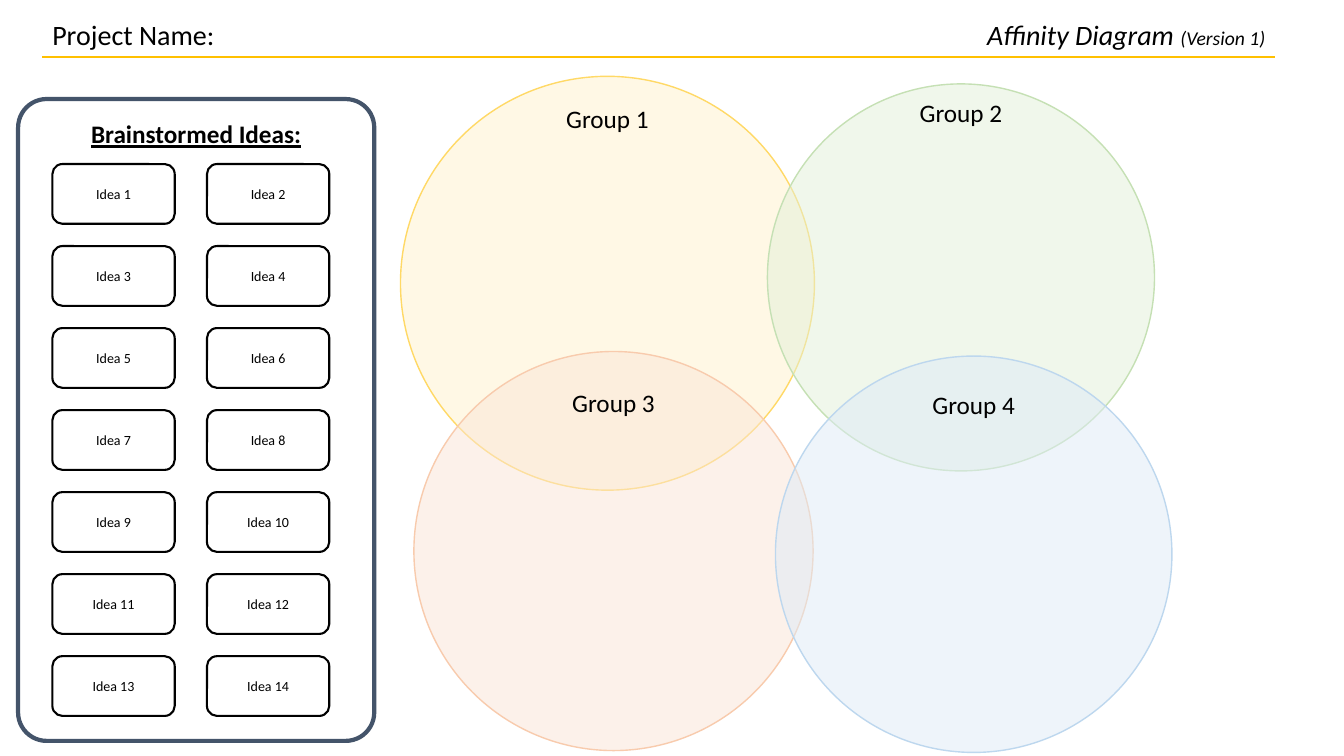
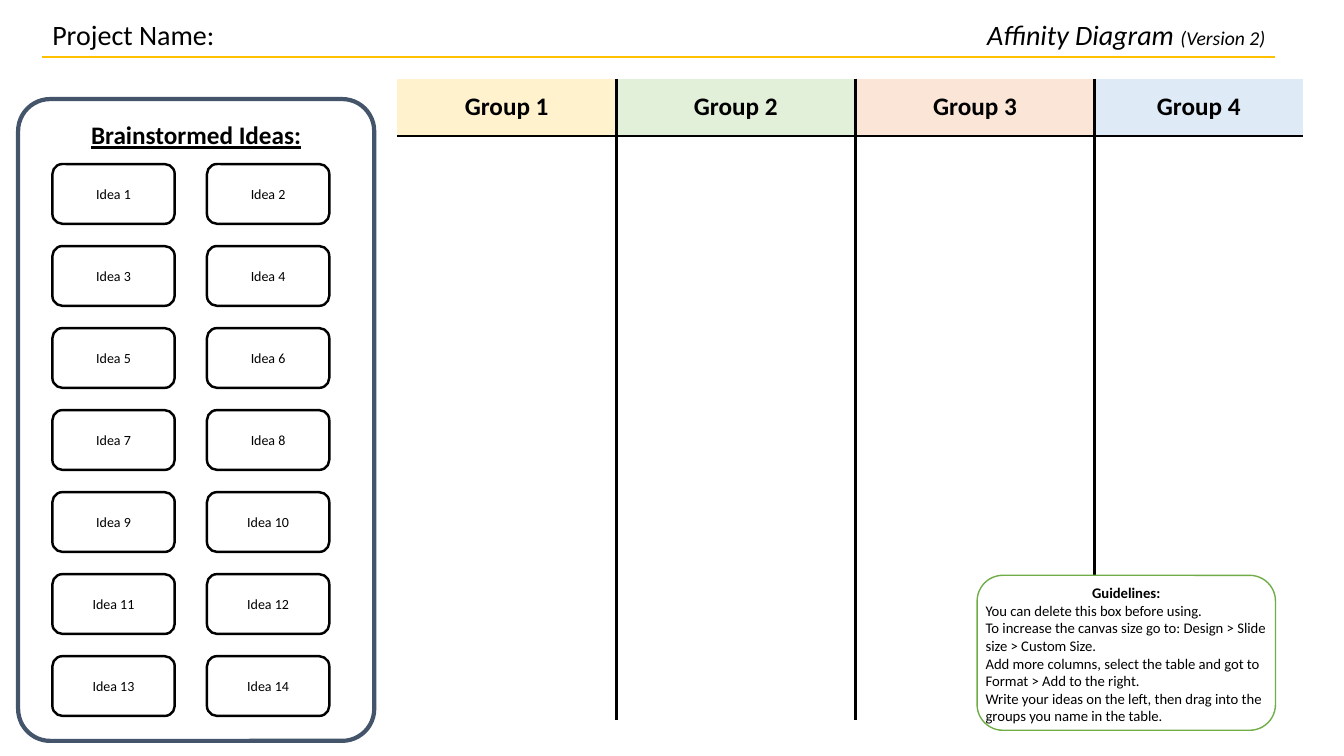
from dataclasses import dataclass

from lxml import etree
from pptx import Presentation
from pptx.dml.color import RGBColor
from pptx.enum.shapes import MSO_CONNECTOR, MSO_SHAPE
from pptx.enum.text import MSO_ANCHOR, MSO_AUTO_SIZE, PP_ALIGN
from pptx.oxml.ns import qn
from pptx.util import Inches, Pt

ROUNDED, ELLIPSE = MSO_SHAPE.ROUNDED_RECTANGLE, MSO_SHAPE.OVAL
STRAIGHT = MSO_CONNECTOR.STRAIGHT
TOP, MIDDLE = MSO_ANCHOR.TOP, MSO_ANCHOR.MIDDLE
LEFT, CENTER, RIGHT = PP_ALIGN.LEFT, PP_ALIGN.CENTER, PP_ALIGN.RIGHT
NO_AUTOFIT = MSO_AUTO_SIZE.NONE

SLIDE_WIDTH, SLIDE_HEIGHT = Inches(13.33), Inches(7.5)
TITLE_ONLY_LAYOUT = 5
PLAIN_TABLE_STYLE = "{2D5ABB26-0587-4C30-8999-92F81FD0307C}"


@dataclass(frozen=True)
class Theme:
    font: str = "Calibri"
    ink: str = "000000"
    paper: str = "FFFFFF"
    rule: str = "FFC000"
    panel: str = "44546A"
    guide: str = "70AD47"
    title_size: float = 20
    version_size: float = 14
    heading_size: float = 18
    idea_size: float = 10
    guide_size: float = 10.5


THEME = Theme()


def across(share: float) -> int:
    """Percent of the slide width."""
    return round(SLIDE_WIDTH * share / 100)


def down(share: float) -> int:
    """Percent of the slide height."""
    return round(SLIDE_HEIGHT * share / 100)


@dataclass(frozen=True)
class Area:
    """A rectangle in percent of the slide's width and height."""
    left: float
    top: float
    width: float
    height: float

    def lengths(self) -> tuple[int, int, int, int]:
        return across(self.left), down(self.top), across(self.width), down(self.height)


@dataclass(frozen=True)
class Group:
    """A group of ideas: its circle on one page, its column on the other."""
    name: str
    fill: str
    outline: str
    left: float
    top: float
    diameter: float  # percent of the slide width
    label_middle: float
    column_width: float


GROUPS = (
    Group("Group 1", "FFF2CC", "FFD966", 29.8, 10.1, 30.8, 15.7, 16.3),
    Group("Group 2", "E2F0D9", "C5E0B4", 57.1, 11.1, 28.8, 14.9, 17.8),
    Group("Group 3", "FBE5D6", "F8CBAD", 30.8, 46.5, 29.7, 53.2, 17.8),
    Group("Group 4", "DEEBF7", "BDD7EE", 57.7, 47.1, 29.5, 53.5, 15.5),
)

# Header
PROJECT = Area(3.15, 1.6, 30.4, 5.9)
TITLE = Area(64.5, 1.6, 30.4, 5.9)
RULE_HEIGHT = 7.6

# Idea panel
PANEL = Area(1.35, 13.1, 26.5, 84.9)
FIRST_IDEA = Area(3.9, 21.7, 9.1, 7.9)
IDEA_COLUMNS, IDEA_ROWS = 2, 7
IDEA_PITCH_ACROSS, IDEA_PITCH_DOWN = 11.5, 10.85

# Circles, table and guidelines
LABEL_HEIGHT = 5.4
TABLE_LEFT, TABLE_TOP = 29.55, 10.4
TABLE_ROWS = (7.6, 77.2)
TABLE_LINE = 2.25
GUIDE = Area(72.7, 76.1, 22.2, 20.5)
GUIDE_LINES = (
    "Guidelines:",
    "You can delete this box before using.",
    "To increase the canvas size go to: Design > Slide size > Custom Size.",
    "Add more columns, select the table and got to Format > Add to the right.",
    "Write your ideas on the left, then drag into the groups you name in the table.",
)


def color(value: str) -> RGBColor:
    return RGBColor.from_string(value)


def style(span, size: float, bold=False, italic=False, underline=False) -> None:
    font = span.font
    font.name, font.size = THEME.font, Pt(size)
    font.bold, font.italic, font.underline = bold, italic, underline
    font.color.rgb = color(THEME.ink)


def set_frame(frame, anchor=TOP, inset: float | None = None) -> None:
    frame.word_wrap = True
    frame.auto_size = NO_AUTOFIT
    frame.vertical_anchor = anchor
    if inset is not None:
        frame.margin_left = frame.margin_right = Inches(inset)
        frame.margin_top = frame.margin_bottom = Inches(inset)


def write(para, text: str, size: float, align=CENTER, **look: bool) -> None:
    para.text = text
    para.alignment = align
    for span in para.runs:
        style(span, size, **look)


def add_text(page, area: Area, text: str, size: float, align, anchor) -> None:
    box = page.shapes.add_textbox(*area.lengths())
    set_frame(box.text_frame, anchor)
    write(box.text_frame.paragraphs[0], text, size, align)


def add_outlined(page, kind, lengths, outline: str, width: float, fill: str | None = None):
    shape = page.shapes.add_shape(kind, *lengths)
    shape.shadow.inherit = False
    shape.line.color.rgb = color(outline)
    shape.line.width = Pt(width)
    if fill is None:
        shape.fill.background()
    else:
        shape.fill.solid()
        shape.fill.fore_color.rgb = color(fill)
    return shape


def add_header(page, version: int) -> None:
    # Title with its smaller version mark
    title = page.shapes.title
    title.left, title.top, title.width, title.height = TITLE.lengths()
    set_frame(title.text_frame, TOP)
    para = title.text_frame.paragraphs[0]
    write(para, "Affinity Diagram ", THEME.title_size, RIGHT, italic=True)
    mark = para.add_run()
    mark.text = f"(Version {version})"
    style(mark, THEME.version_size, italic=True)

    # Project name and rule
    add_text(page, PROJECT, "Project Name:", THEME.title_size, LEFT, TOP)
    height = down(RULE_HEIGHT)
    rule = page.shapes.add_connector(
        STRAIGHT, across(PROJECT.left), height, across(TITLE.left + TITLE.width), height)
    rule.line.color.rgb = color(THEME.rule)
    rule.line.width = Pt(1.5)
    etree.SubElement(rule.element.spPr, qn("a:effectLst"))


def add_idea_panel(page, corner: float, idea_line: float) -> None:
    panel = add_outlined(page, ROUNDED, PANEL.lengths(), THEME.panel, 3)
    panel.adjustments[0] = corner
    set_frame(panel.text_frame, TOP, 0.11)
    write(panel.text_frame.paragraphs[0], "Brainstormed Ideas:",
          THEME.heading_size, bold=True, underline=True)

    # Idea cards, numbered row by row
    for index in range(IDEA_COLUMNS * IDEA_ROWS):
        row, column = divmod(index, IDEA_COLUMNS)
        area = Area(FIRST_IDEA.left + column * IDEA_PITCH_ACROSS,
                    FIRST_IDEA.top + row * IDEA_PITCH_DOWN,
                    FIRST_IDEA.width, FIRST_IDEA.height)
        card = add_outlined(page, ROUNDED, area.lengths(), THEME.ink, idea_line, THEME.paper)
        set_frame(card.text_frame, MIDDLE, 0.02)
        write(card.text_frame.paragraphs[0], f"Idea {index + 1}", THEME.idea_size)


def add_circle(page, group: Group) -> None:
    diameter = across(group.diameter)
    lengths = across(group.left), down(group.top), diameter, diameter
    circle = add_outlined(page, ELLIPSE, lengths, group.outline, 1, group.fill)
    tint = circle.element.spPr.find(qn("a:solidFill"))[0]
    etree.SubElement(tint, qn("a:alpha")).set("val", "50000")
    label = Area(group.left, group.label_middle - LABEL_HEIGHT / 2,
                 group.diameter, LABEL_HEIGHT)
    add_text(page, label, group.name, THEME.heading_size, CENTER, MIDDLE)


def set_border(cell, side: str) -> None:
    properties = cell._tc.get_or_add_tcPr()
    line = etree.SubElement(properties, qn(f"a:ln{side}"), w=str(Pt(TABLE_LINE)))
    fill = etree.SubElement(line, qn("a:solidFill"))
    etree.SubElement(fill, qn("a:srgbClr"), val=THEME.ink)


def add_group_table(page) -> None:
    width = sum(group.column_width for group in GROUPS)
    area = Area(TABLE_LEFT, TABLE_TOP, width, sum(TABLE_ROWS))
    frame = page.shapes.add_table(len(TABLE_ROWS), len(GROUPS), *area.lengths())
    table = frame.table
    table.first_row = table.horz_banding = False
    table._tbl.tblPr.find(qn("a:tableStyleId")).text = PLAIN_TABLE_STYLE
    for row, height in zip(table.rows, TABLE_ROWS):
        row.height = down(height)

    last = len(GROUPS) - 1
    for index, group in enumerate(GROUPS):
        table.columns[index].width = across(group.column_width)
        header, body = table.cell(0, index), table.cell(1, index)
        # Inner lines only, in the order left, right, top, bottom
        for cell, side in ((header, "B"), (body, "T")):
            if index > 0:
                set_border(cell, "L")
            if index < last:
                set_border(cell, "R")
            set_border(cell, side)
        header.fill.solid()
        header.fill.fore_color.rgb = color(group.fill)
        body.fill.background()
        header.vertical_anchor = MIDDLE
        write(header.text_frame.paragraphs[0], group.name, THEME.heading_size, bold=True)


def add_guidelines(page) -> None:
    box = add_outlined(page, ROUNDED, GUIDE.lengths(), THEME.guide, 1, THEME.paper)
    frame = box.text_frame
    set_frame(frame, TOP, 0.01)
    frame.text = "\n".join(GUIDE_LINES)
    for index, para in enumerate(frame.paragraphs):
        heading = index == 0
        write(para, GUIDE_LINES[index], THEME.guide_size,
              CENTER if heading else LEFT, bold=heading)


def main() -> None:
    deck = Presentation()
    deck.slide_width, deck.slide_height = SLIDE_WIDTH, SLIDE_HEIGHT
    layout = deck.slide_layouts[TITLE_ONLY_LAYOUT]

    # Version 1: overlapping circles
    circles_page = deck.slides.add_slide(layout)
    add_header(circles_page, 1)
    for group in GROUPS:
        add_circle(circles_page, group)
    add_idea_panel(circles_page, corner=0.08, idea_line=1.5)

    # Version 2: one column per group
    table_page = deck.slides.add_slide(layout)
    add_header(table_page, 2)
    add_group_table(table_page)
    add_idea_panel(table_page, corner=0.09, idea_line=1.75)
    add_guidelines(table_page)

    deck.save("out.pptx")


if __name__ == "__main__":
    main()
